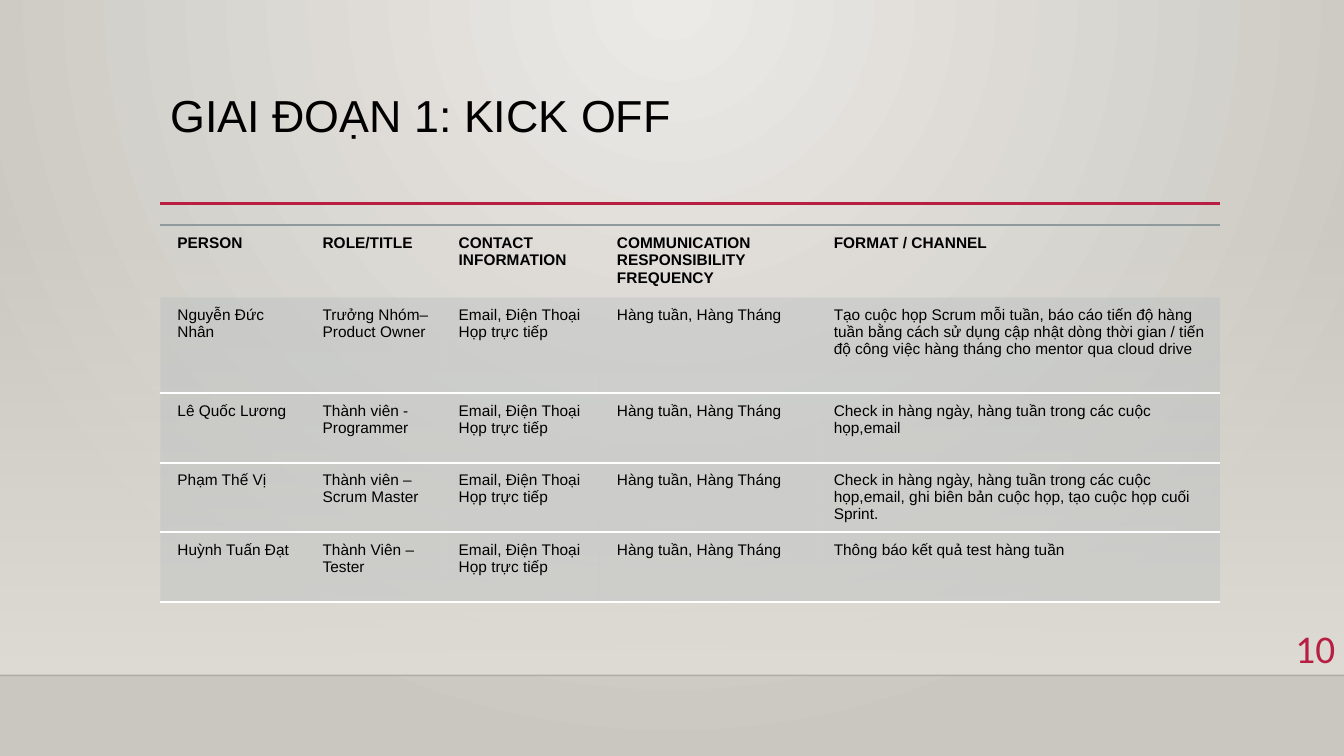
from lxml.etree import SubElement
from pptx import Presentation
from pptx.dml.color import RGBColor
from pptx.enum.shapes import MSO_CONNECTOR, MSO_SHAPE
from pptx.enum.text import MSO_ANCHOR, MSO_AUTO_SIZE, PP_ALIGN
from pptx.oxml import parse_xml
from pptx.oxml.ns import nsdecls, qn
from pptx.util import Inches, Pt

COLORS = {
    "glow": "ECEAE7", "edge": "CAC7C1", "floor": "DFDBD5", "accent": "B71E42",
    "text": "000000", "shade": "000001", "band": "B4BCBE", "rule": "8F9A9D",
    "white": "FFFFFF",
}
NO_GRID_STYLE = "{2D5ABB26-0587-4C30-8999-92F81FD0307C}"
COLUMNS = [1.44, 1.35, 1.57, 2.15, 4]
ROWS = [0.72, 0.95, 0.69, 0.69, 0.69]
HEADER = ["PERSON", "ROLE/TITLE", "CONTACT INFORMATION",
          "COMMUNICATION RESPONSIBILITY FREQUENCY", "FORMAT / CHANNEL"]
CONTACT = "Email, Điện Thoại\nHọp trực tiếp"
FREQUENCY = "Hàng tuần, Hàng Tháng"
MEMBERS = [
    ("Nguyễn Đức Nhân", "Trưởng Nhóm– Product Owner",
     "Tạo cuộc họp Scrum mỗi tuần, báo cáo tiến độ hàng tuần bằng cách sử dụng cập nhật "
     "dòng thời gian / tiến độ công việc hàng tháng cho mentor qua cloud drive"),
    ("Lê Quốc Lương", "Thành viên - Programmer",
     "Check in hàng ngày, hàng tuần trong các cuộc họp,email"),
    ("Phạm Thế Vị", "Thành viên –\nScrum Master",
     "Check in hàng ngày, hàng tuần trong các cuộc họp,email, ghi biên bản cuộc họp, "
     "tạo cuộc họp cuối Sprint."),
    ("Huỳnh Tuấn Đạt", "Thành Viên –\nTester", "Thông báo kết quả test hàng tuần"),
]


class SlideBuilder:
    """Holds the style and the current slide, and adds each kind of element."""

    def __init__(self, deck):
        self.slide = deck.slides.add_slide(deck.slide_layouts[5])
        self.font = "Arial"

    def color(self, name):
        return RGBColor.from_string(COLORS[name])

    def set_alpha(self, color_element, percent):
        SubElement(color_element, qn("a:alpha")).set("val", str(percent * 1000))

    def gradient(self, fill, names):
        fill.gradient()
        for stop, name in zip(fill.gradient_stops, names):
            stop.color.rgb = self.color(name)

    def background(self):
        self.gradient(self.slide.background.fill, ["glow", "edge"])
        gradient = self.slide.element.find(".//" + qn("a:gradFill"))
        gradient.replace(gradient.find(qn("a:lin")), parse_xml(
            f'<a:path {nsdecls("a")} path="circle">'
            '<a:fillToRect l="43000" t="0" r="43000" b="100000"/></a:path>'))

    def fade(self, left, top, width, height):
        panel = self.slide.shapes.add_shape(
            MSO_SHAPE.RECTANGLE, Inches(left), Inches(top), Inches(width), Inches(height))
        panel.shadow.inherit = False
        panel.line.fill.background()
        self.gradient(panel.fill, ["floor", "floor"])
        panel.fill.gradient_angle = 270
        self.set_alpha(panel.element.find(".//" + qn("a:srgbClr")), 0)

    def line(self, left, right, top, name, width, alpha=100):
        rule = self.slide.shapes.add_connector(
            MSO_CONNECTOR.STRAIGHT, Inches(left), Inches(top), Inches(right), Inches(top))
        rule.line.color.rgb = self.color(name)
        rule.line.width = Pt(width)
        self.set_alpha(rule.element.find(".//" + qn("a:srgbClr")), alpha)
        SubElement(rule.element.spPr, qn("a:effectLst"))

    def add_text(self, frame, text, size, name="text", font=None, bold=False,
                 align=PP_ALIGN.LEFT, spacing=None):
        frame.word_wrap = True
        for index, content in enumerate(text.split("\n")):
            para = frame.add_paragraph() if index else frame.paragraphs[0]
            para.alignment = align
            para.line_spacing = spacing
            span = para.add_run()
            span.text = content
            span.font.size = Pt(size)
            span.font.name = font or self.font
            span.font.bold = bold
            span.font.color.rgb = self.color(name)

    def title(self, text, left, top, width, height):
        box = self.slide.shapes.title
        box.left, box.top = Inches(left), Inches(top)
        box.width, box.height = Inches(width), Inches(height)
        box.text_frame.auto_size = MSO_AUTO_SIZE.NONE
        box.text_frame.vertical_anchor = MSO_ANCHOR.TOP
        self.add_text(box.text_frame, text, 32, spacing=0.9)

    def page_number(self, text, left, top, width, height):
        box = self.slide.shapes.add_textbox(
            Inches(left), Inches(top), Inches(width), Inches(height))
        box.text_frame.vertical_anchor = MSO_ANCHOR.MIDDLE
        self.add_text(box.text_frame, text, 28, "accent", "Calibri", align=PP_ALIGN.RIGHT)

    def border(self, cell, side, name, alpha=100):
        cell._tc.get_or_add_tcPr().insert(0, parse_xml(
            f'<a:{side} {nsdecls("a")} w="{Pt(1.5)}"><a:solidFill>'
            f'<a:srgbClr val="{COLORS[name]}"><a:alpha val="{alpha * 1000}"/></a:srgbClr>'
            f'</a:solidFill></a:{side}>'))

    def table(self, rows, left, top):
        frame = self.slide.shapes.add_table(
            len(rows), len(COLUMNS), Inches(left), Inches(top),
            Inches(sum(COLUMNS)), Inches(sum(ROWS)))
        grid = frame.table
        grid.first_row = grid.horz_banding = False
        frame.element.find(".//" + qn("a:tableStyleId")).text = NO_GRID_STYLE
        for column, width in zip(grid.columns, COLUMNS):
            column.width = Inches(width)
        for index, (row, height, texts) in enumerate(zip(grid.rows, ROWS, rows)):
            row.height = Inches(height)
            for cell, text in zip(row.cells, texts):
                self.cell(cell, text, index == 0)

    def cell(self, cell, text, header):
        margin = Inches(0.1 if header else 0.09)
        cell.margin_left = Inches(0.17)
        cell.margin_top = cell.margin_right = cell.margin_bottom = margin
        self.add_text(cell.text_frame, text, 11, bold=header)
        if header:
            cell.fill.background()
            self.border(cell, "lnT", "rule", 60)
        else:
            cell.fill.solid()
            cell.fill.fore_color.rgb = self.color("band")
            self.set_alpha(cell._tc.tcPr.find(".//" + qn("a:srgbClr")), 35)
            self.border(cell, "lnB", "white")


def main():
    deck = Presentation()
    deck.slide_width, deck.slide_height = Inches(13.33), Inches(7.5)
    page = SlideBuilder(deck)
    page.background()
    page.fade(0, 2.21, 13.33, 4.49)
    page.line(0, 13.33, 6.7, "shade", 1, 20)
    page.line(1.59, 12.1, 2.02, "accent", 2.5)
    page.title("GIAI ĐOẠN 1: KICK OFF", 1.59, 0.88, 10.5, 1.15)
    members = [(person, role, CONTACT, FREQUENCY, channel)
               for person, role, channel in MEMBERS]
    page.table([HEADER, *members], 1.59, 2.23)
    page.page_number("10", 12.45, 6.15, 0.89, 0.55)
    deck.save("out.pptx")


if __name__ == "__main__":
    main()
